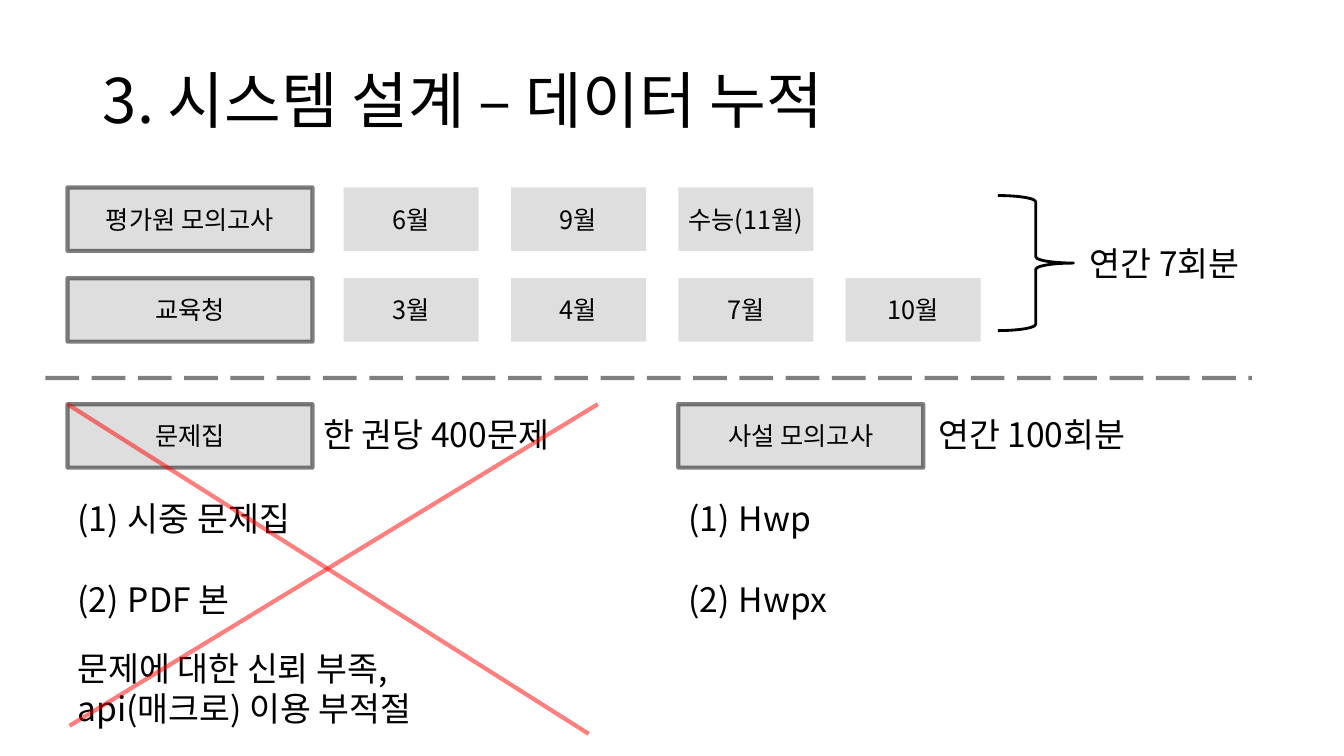
from lxml import etree
from pptx import Presentation
from pptx import util as u
from pptx.dml.color import RGBColor
from pptx.enum import dml, shapes, text
from pptx.oxml import ns

FONT = "Noto Sans CJK KR"
BLACK = RGBColor(0x00, 0x00, 0x00)
GRAY = RGBColor(0xBF, 0xBF, 0xBF)
RED = RGBColor(0xFF, 0x00, 0x00)
LABEL_W, BOX_H = 174.96, 45.36
MONTH_W, MONTH_PITCH, MONTH_OFFSET = 96.48, 119.52, 197.28
ROW_PITCH = 64.8
CENTER = text.PP_ALIGN.CENTER
EXAMS = [
    ("평가원 모의고사", ["6월", "9월", "수능(11월)"]),
    ("교육청", ["3월", "4월", "7월", "10월"]),
]


def pts(*values):
    return [u.Pt(v) for v in values]


def apply(obj, formats):
    for name, value in formats.items():
        setattr(obj, name, value)


def paint(fill, color, half=True):
    fill.solid()
    fill.fore_color.rgb = color
    if half:
        clr = fill._xPr.find(".//" + ns.qn("a:srgbClr"))
        etree.SubElement(clr, ns.qn("a:alpha"), val="50000")


def write(tf, lines, size, **formats):
    for i, line in enumerate(lines):
        p = tf.paragraphs[0] if i == 0 else tf.add_paragraph()
        apply(p, formats)
        r = p.add_run()
        r.text = line
        apply(r.font, {"size": u.Pt(size), "name": FONT})
        r.font.color.rgb = BLACK
        etree.SubElement(r.font._element, ns.qn("a:ea"), typeface=FONT)


def add_box(s, box, caption, outlined=False):
    sp = s.shapes.add_shape(shapes.MSO_SHAPE.RECTANGLE, *pts(*box))
    sp.shadow.inherit = False
    paint(sp.fill, GRAY)
    if outlined:
        sp.line.width = u.Pt(3)
        paint(sp.line.fill, BLACK)
    else:
        sp.line.fill.background()
    apply(sp.text_frame, {"word_wrap": True, "vertical_anchor": text.MSO_ANCHOR.MIDDLE})
    write(sp.text_frame, [caption], 18, alignment=CENTER)


def add_text(s, box, lines, **formats):
    tf = s.shapes.add_textbox(*pts(*box)).text_frame
    tf.word_wrap = True
    write(tf, lines, 24, **formats)
    return tf


def add_numbered(s, box, items):
    tf = add_text(s, box, items)
    for i, p in enumerate(tf.paragraphs):
        p.space_before = u.Pt(29 if i else 0)
        pPr = p._p.get_or_add_pPr()
        pPr.set("marL", str(u.Pt(36)))
        pPr.set("indent", str(-u.Pt(36)))
        etree.SubElement(pPr, ns.qn("a:buFont"), typeface="+mj-lt")
        etree.SubElement(pPr, ns.qn("a:buAutoNum"), type="arabicParenBoth")


def add_line(s, ends, color, dash=None):
    cx = s.shapes.add_connector(shapes.MSO_CONNECTOR.STRAIGHT, *pts(*ends))
    cx.line.width = u.Pt(3)
    paint(cx.line.fill, color)
    if dash:
        cx.line.dash_style = dash
    etree.SubElement(cx._element.spPr, ns.qn("a:effectLst"))


def draw_title(s, box, caption):
    title = s.shapes.title
    apply(title, dict(zip(("left", "top", "width", "height"), pts(*box))))
    apply(title.text_frame, {"word_wrap": True, "vertical_anchor": text.MSO_ANCHOR.MIDDLE})
    write(title.text_frame, [caption], 44, alignment=text.PP_ALIGN.LEFT, line_spacing=0.9)


def draw_exams(s, left, top):
    for row, (label, months) in enumerate(EXAMS):
        y = top + row * ROW_PITCH
        add_box(s, (left, y, LABEL_W, BOX_H), label, outlined=True)
        for col, month in enumerate(months):
            x = left + MONTH_OFFSET + col * MONTH_PITCH
            add_box(s, (x, y, MONTH_W, BOX_H), month)
    brace = s.shapes.add_shape(
        shapes.MSO_SHAPE.RIGHT_BRACE, *pts(left + 664.56, top + 5.76, 54, 96.48))
    brace.shadow.inherit = False
    brace.fill.background()
    brace.line.width = u.Pt(2)
    paint(brace.line.fill, BLACK, half=False)
    add_text(s, (left + 709.92, top + 36, 147.6, 36), ["연간 7회분"], alignment=CENTER)


def draw_source(s, left, top, label, amount, amount_offset, items):
    add_box(s, (left, top, LABEL_W, BOX_H), label, outlined=True)
    add_text(s, (left + amount_offset, top + 3.6, 195.84, 36), [amount])
    add_numbered(s, (left, top + 63.36, 185.76, 94.32), items)


def draw_rejection(s, left, top):
    add_text(s, (left, top + 170.64, 393.12, 65.52),
             ["문제에 대한 신뢰 부족,", "api(매크로) 이용 부적절"])
    add_line(s, (left, top, left + 372.24, top + 235.44), RED)
    add_line(s, (left + 1.44, top + 229.68, left + 378.72, top), RED)


def main():
    prs = Presentation()
    prs.slide_width, prs.slide_height = pts(960, 540)
    s = prs.slides.add_slide(prs.slide_layouts[5])
    left, lower = 48.24, 288.72
    draw_title(s, (66.24, 21.6, 828, 104.4), "3. 시스템 설계 – 데이터 누적")
    draw_exams(s, left, 133.92)
    add_line(s, (32.4, 270, 894.24, 270), BLACK, dml.MSO_LINE.LONG_DASH)
    draw_source(s, 484.56, lower, "사설 모의고사", "연간 100회분", 178.56, ["Hwp", "Hwpx"])
    draw_source(s, left, lower, "문제집", "한 권당 400문제", 175.68, ["시중 문제집", "PDF 본"])
    draw_rejection(s, left, lower)
    prs.save("out.pptx")


if __name__ == "__main__":
    main()
